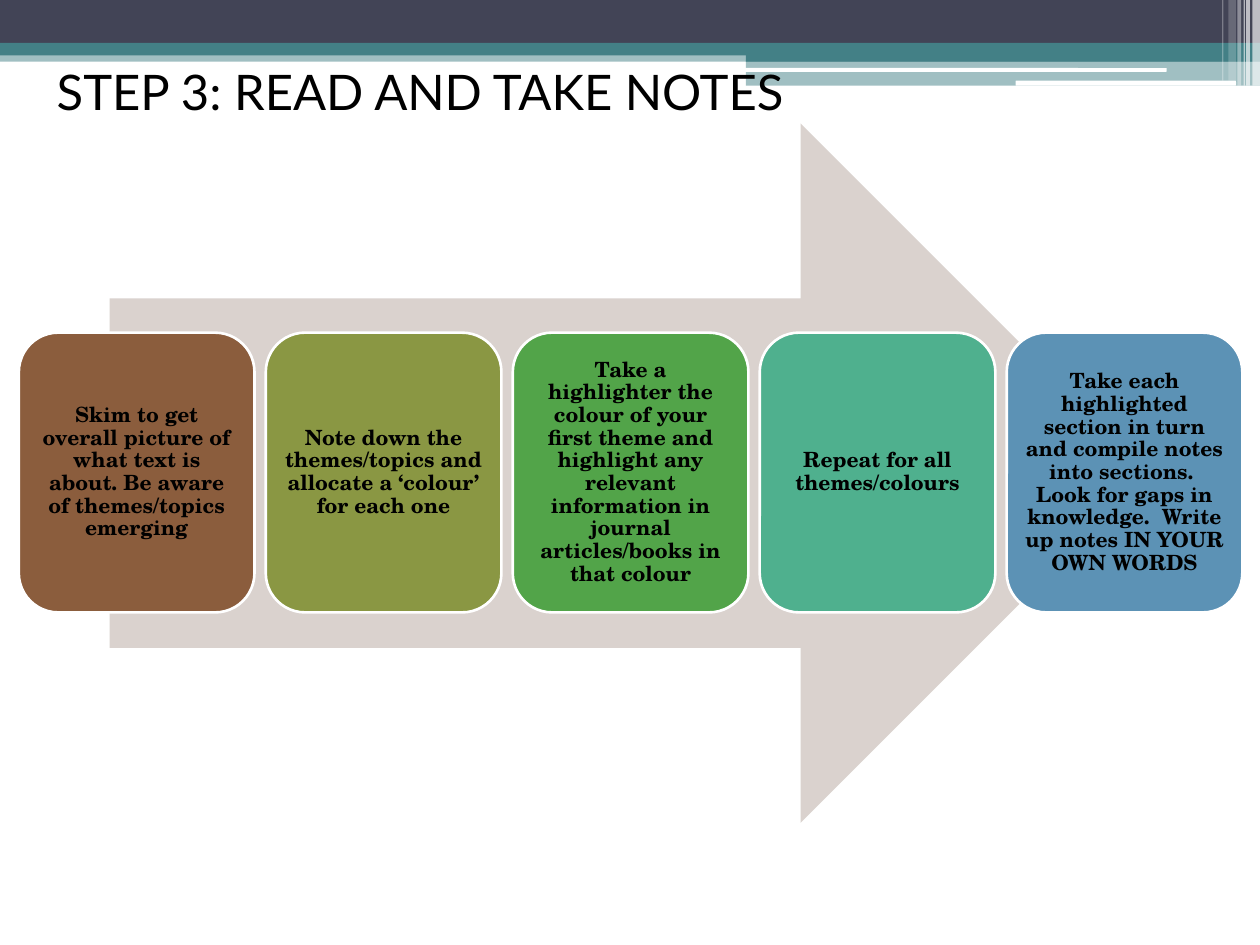
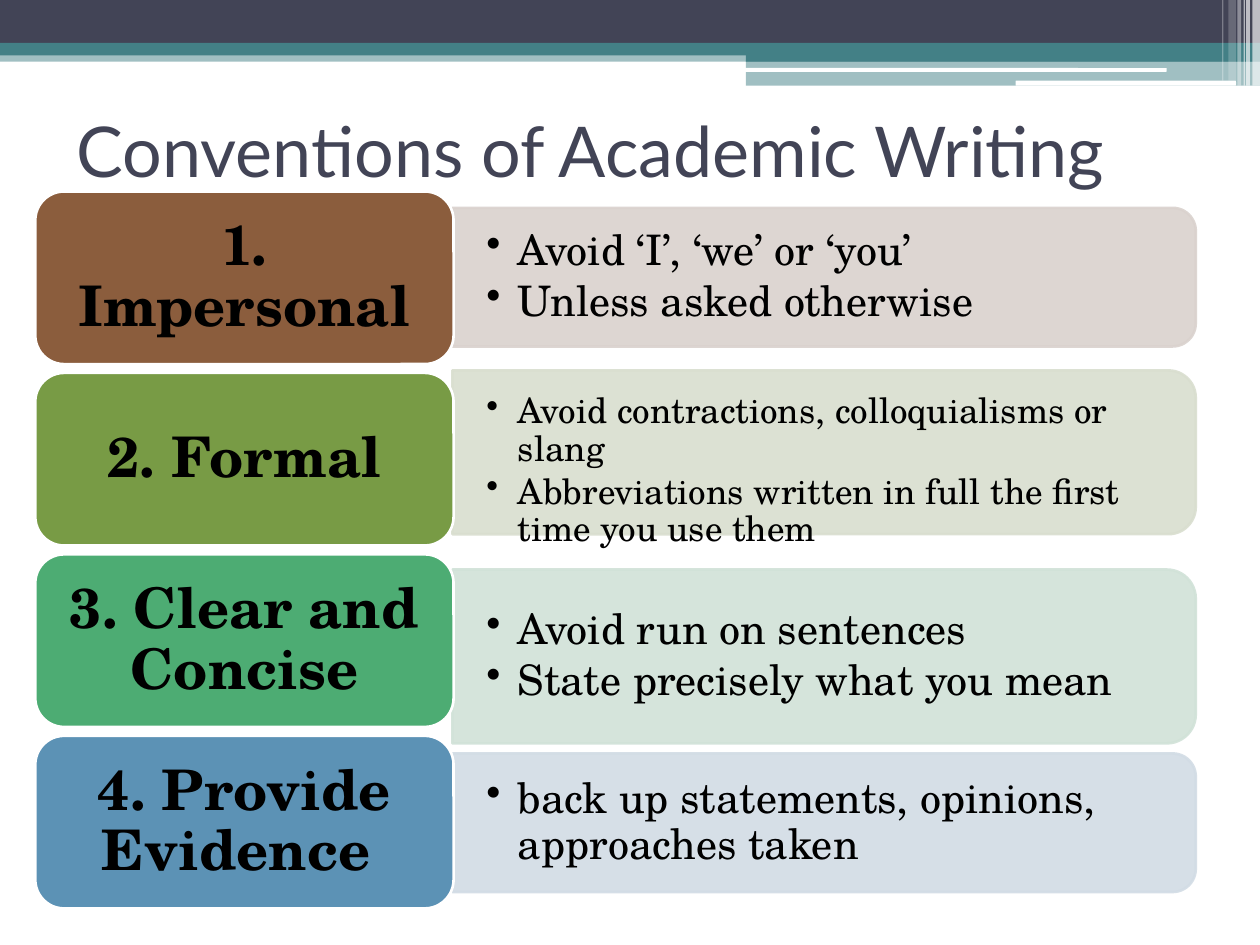
"""Build two study-skills slides: note-taking steps and academic writing conventions."""

from dataclasses import dataclass
from typing import Optional

import lxml.etree
import pptx
import pptx.dml.color
import pptx.enum.shapes
import pptx.enum.text
import pptx.oxml.ns
import pptx.presentation
import pptx.shapes.autoshape
import pptx.slide
import pptx.text.text
import pptx.util

Inches = pptx.util.Inches
Pt = pptx.util.Pt
RGBColor = pptx.dml.color.RGBColor
Shape = pptx.shapes.autoshape.Shape
ShapeType = pptx.enum.shapes.MSO_SHAPE
Alignment = pptx.enum.text.PP_ALIGN
qn = pptx.oxml.ns.qn

WHITE = RGBColor(0xFF, 0xFF, 0xFF)
BLACK = RGBColor(0x00, 0x00, 0x00)
SLATE = RGBColor(0x42, 0x44, 0x56)
TEAL = RGBColor(0x43, 0x80, 0x86)
BROWN = RGBColor(0x8B, 0x5D, 0x3D)
OLIVE = RGBColor(0x8A, 0x97, 0x43)
GREEN = RGBColor(0x52, 0xA4, 0x49)
MINT = RGBColor(0x4F, 0xB0, 0x8E)
BLUE = RGBColor(0x5C, 0x92, 0xB5)
MOSS = RGBColor(0x78, 0x9B, 0x45)
JADE = RGBColor(0x4D, 0xAC, 0x73)
PALE_BROWN = RGBColor(0xDA, 0xD2, 0xCE)
PALE_MOSS = RGBColor(0xD9, 0xDE, 0xCF)
PALE_JADE = RGBColor(0xD1, 0xE2, 0xD8)
PALE_BLUE = RGBColor(0xD2, 0xDC, 0xE5)

TITLE_FONT = "Lato"
BODY_FONT = "TeX Gyre Schola"
TITLE_ONLY_LAYOUT = 5
LINE_SPACING = 0.9
OUTLINE_WIDTH = Pt(1.5)


@dataclass(frozen=True)
class Box:
    """Left, top, width and height in inches."""

    left: float
    top: float
    width: float
    height: float

    def lengths(self) -> tuple[int, ...]:
        """Give the four values as lengths."""
        return tuple(Inches(value) for value in (self.left, self.top, self.width, self.height))


@dataclass(frozen=True)
class Band:
    """One strip of the header decoration."""

    box: Box
    color: RGBColor
    opacity: int = 100
    kind: ShapeType = ShapeType.RECTANGLE


@dataclass(frozen=True)
class Step:
    """One card on the note-taking arrow."""

    text: str
    color: RGBColor


@dataclass(frozen=True)
class Convention:
    """One label with its panel of advice."""

    label: str
    color: RGBColor
    panel_color: RGBColor
    panel_top: float
    panel_height: float
    points: tuple[str, ...]
    size: int = 24
    text_shift: float = 0


BANDS = (
    Band(Box(0, 0.4, 10, 0.09), TEAL, 50),
    Band(Box(0, 0, 10, 0.34), SLATE),
    Band(Box(0, 0.34, 10, 0.1), TEAL),
    Band(Box(5.92, 0.39, 4.08, 0.1), TEAL),
    Band(Box(5.92, 0.48, 4.08, 0.2), TEAL, 50),
    Band(Box(5.91, 0.54, 3.35, 0.03), WHITE, kind=ShapeType.ROUNDED_RECTANGLE),
    Band(Box(8.06, 0.64, 1.75, 0.04), WHITE, kind=ShapeType.ROUNDED_RECTANGLE),
    Band(Box(9.94, 0, 0.06, 0.68), WHITE, 65),
    Band(Box(9.89, 0, 0.03, 0.68), WHITE, 65),
    Band(Box(9.87, 0, 0.01, 0.68), WHITE, 60),
    Band(Box(9.82, 0, 0.03, 0.68), WHITE, 40),
    Band(Box(9.75, 0, 0.06, 0.64), WHITE, 20),
    Band(Box(9.7, 0, 0.01, 0.64), WHITE, 30),
)

STEPS = (
    Step("Skim to get overall picture of what text is about. Be aware of themes/topics emerging", BROWN),
    Step("Note down the themes/topics and allocate a ‘colour’ for each one", OLIVE),
    Step(
        "Take a highlighter the colour of your first theme and highlight any relevant "
        "information in journal articles/books in that colour",
        GREEN,
    ),
    Step("Repeat for all themes/colours", MINT),
    Step(
        "Take each highlighted section in turn and compile notes into sections.  "
        "Look for gaps in knowledge.  Write up notes IN YOUR OWN WORDS",
        BLUE,
    ),
)

CONVENTIONS = (
    Convention(
        "1. Impersonal", BROWN, PALE_BROWN, 1.65, 1.1,
        ("Avoid ‘I’, ‘we’ or ‘you’", "Unless asked otherwise"),
    ),
    Convention(
        "2. Formal", MOSS, PALE_MOSS, 2.94, 1.3,
        (
            "Avoid contractions, colloquialisms or slang",
            "Abbreviations written in full the first time you use them",
        ),
        size=20, text_shift=0.15,
    ),
    Convention(
        "3. Clear and Concise", JADE, PALE_JADE, 4.52, 1.38,
        ("Avoid run on sentences", "State precisely what you mean"),
    ),
    Convention(
        "4. Provide Evidence ", BLUE, PALE_BLUE, 5.98, 1.1,
        ("back up statements, opinions, approaches taken",),
    ),
)


def add_filled_shape(
    slide: pptx.slide.Slide,
    kind: ShapeType,
    box: Box,
    color: RGBColor,
    outline: Optional[RGBColor] = None,
    opacity: int = 100,
) -> Shape:
    """Draw a flat shape, with an outline and transparency if asked."""
    shape = slide.shapes.add_shape(kind, *box.lengths())
    shape.shadow.inherit = False
    shape.fill.solid()
    shape.fill.fore_color.rgb = color
    if outline is None:
        shape.line.fill.background()
    else:
        shape.line.color.rgb = outline
        shape.line.width = OUTLINE_WIDTH
    if opacity < 100:
        for color_element in shape.element.spPr.iter(qn("a:srgbClr")):
            alpha = lxml.etree.SubElement(color_element, qn("a:alpha"))
            alpha.set("val", str(opacity * 1000))
    return shape


def prepare_frame(shape: Shape, side: float, end: float) -> pptx.text.text.TextFrame:
    """Set wrapping, middle anchoring and insets of a text frame."""
    frame = shape.text_frame
    frame.word_wrap = True
    frame.auto_size = pptx.enum.text.MSO_AUTO_SIZE.NONE
    frame.vertical_anchor = pptx.enum.text.MSO_ANCHOR.MIDDLE
    frame.margin_left = frame.margin_right = Inches(side)
    frame.margin_top = frame.margin_bottom = Inches(end)
    return frame


def add_text(
    paragraph: pptx.text.text._Paragraph,
    text: str,
    font_name: str,
    size: int,
    color: RGBColor = BLACK,
    bold: bool = False,
) -> None:
    """Add one formatted run to a paragraph."""
    run = paragraph.add_run()
    run.text = text
    run.font.name = font_name
    run.font.size = Pt(size)
    run.font.color.rgb = color
    run.font.bold = bold


def add_card(
    slide: pptx.slide.Slide, box: Box, color: RGBColor, text: str, size: int, side: float, end: float
) -> None:
    """Draw a rounded card with bold centred text."""
    card = add_filled_shape(slide, ShapeType.ROUNDED_RECTANGLE, box, color, WHITE)
    paragraph = prepare_frame(card, side, end).paragraphs[0]
    paragraph.alignment = Alignment.CENTER
    paragraph.line_spacing = LINE_SPACING
    add_text(paragraph, text, BODY_FONT, size, bold=True)


def set_title(slide: pptx.slide.Slide, text: str, box: Box, size: int, color: RGBColor) -> None:
    """Place and fill the title placeholder."""
    title = slide.shapes.title
    title.left, title.top, title.width, title.height = box.lengths()
    paragraph = prepare_frame(title, 0.1, 0.05).paragraphs[0]
    paragraph.alignment = Alignment.LEFT
    add_text(paragraph, text, TITLE_FONT, size, color)


def add_bands_to_layout(slide: pptx.slide.Slide) -> None:
    """Draw the header bands and move them to the layout of the slide."""
    for band in BANDS:
        shape = add_filled_shape(slide, band.kind, band.box, band.color, opacity=band.opacity)
        slide.slide_layout.shapes.element.append(shape.element)


def add_points(slide: pptx.slide.Slide, convention: Convention, box: Box) -> None:
    """Write the bulleted advice of a convention."""
    frame = prepare_frame(slide.shapes.add_textbox(*box.lengths()), 0.27, 0.14)
    for index, point in enumerate(convention.points):
        paragraph = frame.add_paragraph() if index else frame.paragraphs[0]
        properties = paragraph._p.get_or_add_pPr()
        properties.set("marL", str(Inches(0.25)))
        properties.set("indent", str(-Inches(0.25)))
        lxml.etree.SubElement(properties, qn("a:buChar")).set("char", "•")
        paragraph.line_spacing = LINE_SPACING
        paragraph.space_after = Pt(0.15 * convention.size)
        add_text(paragraph, point, BODY_FONT, convention.size)


def add_convention(slide: pptx.slide.Slide, convention: Convention, label_top: float) -> None:
    """Draw the panel, advice and label of one convention."""
    left, length = 3.59, 5.9
    height = convention.panel_height
    upright_box = Box(
        left + (length - height) / 2, convention.panel_top + (height - length) / 2, height, length
    )
    panel = add_filled_shape(
        slide, ShapeType.ROUND_2_SAME_RECTANGLE, upright_box,
        convention.panel_color, convention.panel_color, 90,
    )
    panel.rotation = 90
    corner = 0.05 * height
    text_top = convention.panel_top + corner + convention.text_shift
    add_points(slide, convention, Box(left, text_top, length - corner, height - 2 * corner))
    add_card(slide, Box(0.28, label_top, 3.32, 1.37), convention.color, convention.label, 32, 0.13, 0.07)


def build_steps_slide(slide: pptx.slide.Slide) -> None:
    """Draw the note-taking steps along an arrow."""
    set_title(slide, "STEP 3: READ AND TAKE NOTES", Box(0.35, 0.21, 9, 1.02), 28, BLACK)
    add_filled_shape(slide, ShapeType.RIGHT_ARROW, Box(0.87, 0.98, 8.26, 5.55), PALE_BROWN)
    for index, step in enumerate(STEPS):
        add_card(slide, Box(0.15 + 1.96 * index, 2.64, 1.87, 2.22), step.color, step.text, 12, 0.05, 0.05)


def build_conventions_slide(slide: pptx.slide.Slide) -> None:
    """Draw the conventions as labelled rows."""
    set_title(slide, "Conventions of Academic Writing", Box(0.51, 0.6, 9, 1.17), 40, SLATE)
    for index, convention in enumerate(CONVENTIONS):
        add_convention(slide, convention, 1.52 + 1.44 * index)


def main() -> None:
    """Build and save the presentation."""
    presentation = pptx.Presentation()
    presentation.slide_width = Inches(10)
    presentation.slide_height = Inches(7.5)
    layout = presentation.slide_layouts[TITLE_ONLY_LAYOUT]
    steps_slide = presentation.slides.add_slide(layout)
    add_bands_to_layout(steps_slide)
    build_steps_slide(steps_slide)
    build_conventions_slide(presentation.slides.add_slide(layout))
    presentation.save("out.pptx")


if __name__ == "__main__":
    main()
